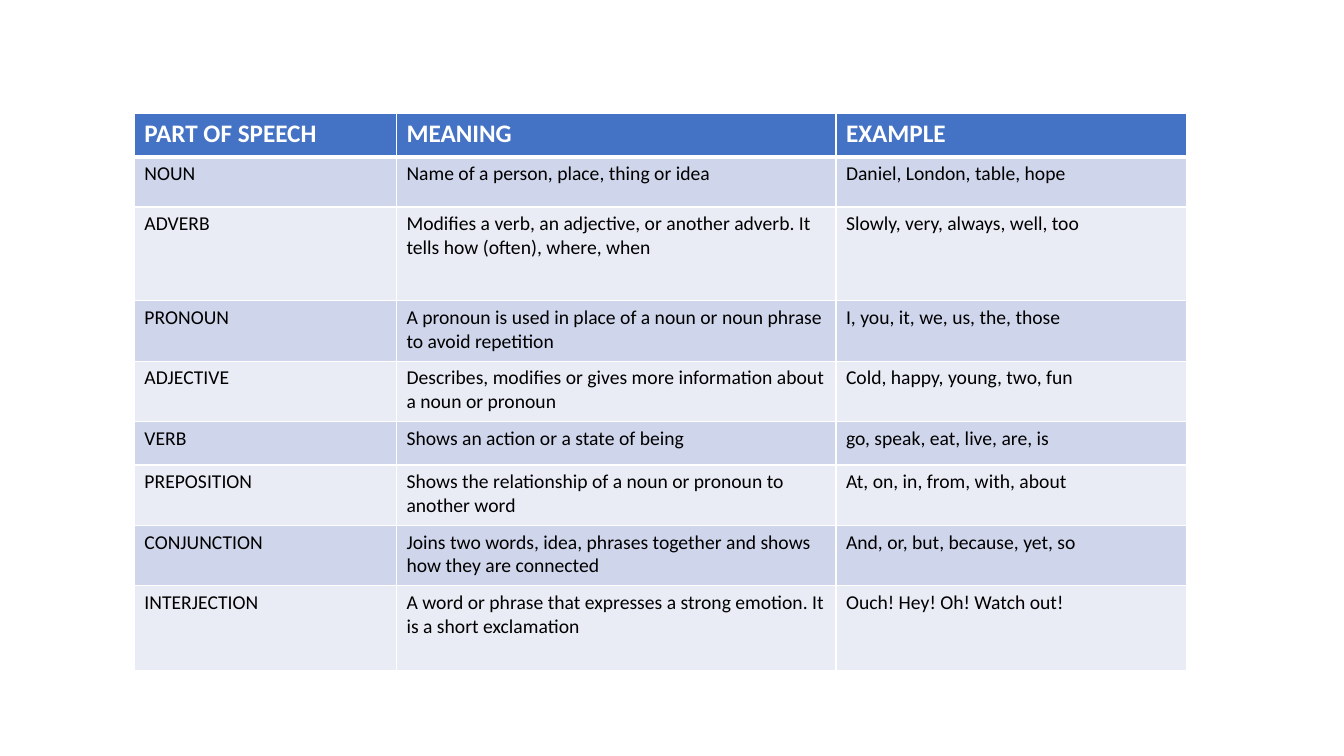
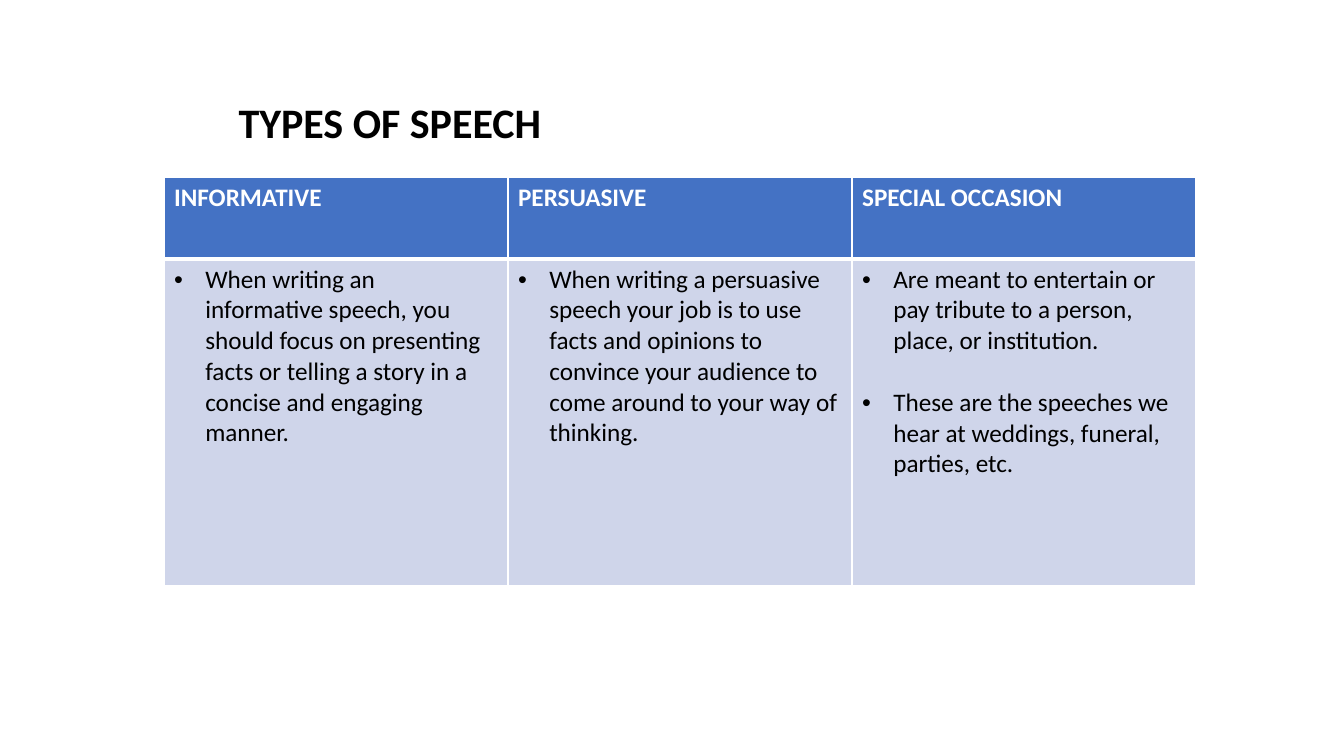
from dataclasses import dataclass

from lxml.etree import SubElement
from pptx import Presentation
from pptx.dml.color import RGBColor
from pptx.enum.text import MSO_ANCHOR, MSO_AUTO_SIZE, PP_ALIGN
from pptx.oxml.ns import qn
from pptx.util import Emu, Inches, Pt

SLIDE_WIDTH, SLIDE_HEIGHT = Inches(13.333), Inches(7.5)
FONT = "Calibri"
WHITE = RGBColor(0xFF, 0xFF, 0xFF)
BLACK = RGBColor(0x00, 0x00, 0x00)
HEADER_BLUE = RGBColor(0x44, 0x72, 0xC4)
BANDS = (RGBColor(0xCF, 0xD5, 0xEA), RGBColor(0xE9, 0xEB, 0xF5))
THIN, THICK = Pt(1), Pt(3)
BULLET_INDENT = Inches(0.31)
BULLET_GAP = 22


@dataclass(frozen=True)
class Area:
    """A rectangle in percent of the slide's width and height."""
    left: float
    top: float
    width: float
    height: float

    def box(self) -> tuple[Emu, Emu, Emu, Emu]:
        return (Emu(int(SLIDE_WIDTH * self.left / 100)),
                Emu(int(SLIDE_HEIGHT * self.top / 100)),
                Emu(int(SLIDE_WIDTH * self.width / 100)),
                Emu(int(SLIDE_HEIGHT * self.height / 100)))


@dataclass(frozen=True)
class Grid:
    """A banded table; column and row sizes are relative weights."""
    area: Area
    columns: tuple[float, ...]
    rows: tuple[float, ...]
    cells: tuple[tuple[str, ...], ...]
    body_size: int
    bulleted: bool = False


PARTS_OF_SPEECH = Grid(
    area=Area(10, 15, 78.3, 73.7),
    columns=(2.6, 4.36, 3.48),
    rows=(0.43, 0.5, 0.93, 0.6, 0.6, 0.43, 0.6, 0.6, 0.84),
    body_size=14,
    cells=(
        ("PART OF SPEECH", "MEANING", "EXAMPLE"),
        ("NOUN", "Name of a person, place, thing or idea",
         "Daniel, London, table, hope"),
        ("ADVERB", "Modifies a verb, an adjective, or another adverb. "
         "It tells how (often), where, when",
         "Slowly, very, always, well, too"),
        ("PRONOUN", "A pronoun is used in place of a noun or noun phrase "
         "to avoid repetition",
         "I, you, it, we, us, the, those"),
        ("ADJECTIVE", "Describes, modifies or gives more information about "
         "a noun or pronoun",
         "Cold, happy, young, two, fun"),
        ("VERB", "Shows an action or a state of being",
         "go, speak, eat, live, are, is"),
        ("PREPOSITION", "Shows the relationship of a noun or pronoun to "
         "another word",
         "At, on, in, from, with, about"),
        ("CONJUNCTION", "Joins two words, idea, phrases together and shows "
         "how they are connected",
         "And, or, but, because, yet, so"),
        ("INTERJECTION", "A word or phrase that expresses a strong emotion. "
         "It is a short exclamation",
         "Ouch! Hey! Oh! Watch out!"),
    ),
)

SPEECH_TYPES = Grid(
    area=Area(12.2, 23.5, 76.8, 53.9),
    columns=(1, 1, 1),
    rows=(1, 4),
    body_size=18,
    bulleted=True,
    cells=(
        ("INFORMATIVE", "PERSUASIVE", "SPECIAL OCCASION"),
        ("When writing an informative speech, you should focus on presenting "
         "facts or telling a story in a concise and engaging manner.",
         "When writing a persuasive speech your job is to use facts and "
         "opinions to convince your audience to come around to your way of "
         "thinking.",
         "Are meant to entertain or pay tribute to a person, place, or "
         "institution.\nThese are the speeches we hear at weddings, funeral, "
         "parties, etc."),
    ),
)


def write(frame, text: str, *, size: int, color: RGBColor = BLACK,
          bold: bool = False, bulleted: bool = False) -> None:
    """Fill a text frame with one paragraph per line of text."""
    for index, line in enumerate(text.split("\n")):
        paragraph = frame.add_paragraph() if index else frame.paragraphs[0]
        paragraph.text = line
        if bulleted:
            properties = paragraph._p.get_or_add_pPr()
            properties.set("marL", str(BULLET_INDENT))
            properties.set("indent", str(-BULLET_INDENT))
            SubElement(properties, qn("a:buFont"), typeface="Arial")
            SubElement(properties, qn("a:buChar"), char="•")
        if index:
            paragraph.space_before = Pt(BULLET_GAP)
        paragraph.alignment = PP_ALIGN.LEFT
        font = paragraph.font
        font.name, font.size, font.bold = FONT, Pt(size), bold
        font.color.rgb = color


def set_borders(cell, top: Emu, bottom: Emu) -> None:
    properties = cell._tc.get_or_add_tcPr()
    edges = {"L": THIN, "R": THIN, "T": top, "B": bottom}
    for position, (side, width) in enumerate(edges.items()):
        line = SubElement(properties, qn(f"a:ln{side}"), w=str(width))
        fill = SubElement(line, qn("a:solidFill"))
        SubElement(fill, qn("a:srgbClr"), val=str(WHITE))
        properties.insert(position, line)


def share_out(tracks, weights: tuple[float, ...], total: Emu,
              dimension: str) -> None:
    """Divide a length among table columns or rows by weight."""
    for track, weight in zip(tracks, weights):
        setattr(track, dimension, Emu(int(total * weight / sum(weights))))


def draw_grid(slide, grid: Grid) -> None:
    left, top, width, height = grid.area.box()
    table = slide.shapes.add_table(len(grid.rows), len(grid.columns),
                                   left, top, width, height).table
    share_out(table.columns, grid.columns, width, "width")
    share_out(table.rows, grid.rows, height, "height")
    for row, texts in enumerate(grid.cells):
        header = row == 0
        for column, text in enumerate(texts):
            cell = table.cell(row, column)
            cell.fill.solid()
            cell.fill.fore_color.rgb = (
                HEADER_BLUE if header else BANDS[(row - 1) % len(BANDS)])
            set_borders(cell, top=THICK if row == 1 else THIN,
                        bottom=THICK if header else THIN)
            if header:
                write(cell.text_frame, text, size=18, color=WHITE, bold=True)
            else:
                write(cell.text_frame, text, size=grid.body_size,
                      bulleted=grid.bulleted)


def draw_title(slide, text: str, area: Area) -> None:
    title = slide.shapes.title
    title.left, title.top, title.width, title.height = area.box()
    frame = title.text_frame
    frame.word_wrap = False
    frame.auto_size = MSO_AUTO_SIZE.NONE
    frame.vertical_anchor = MSO_ANCHOR.TOP
    write(frame, text, size=30, bold=True)


def main() -> None:
    deck = Presentation()
    deck.slide_width, deck.slide_height = SLIDE_WIDTH, SLIDE_HEIGHT
    title_only, blank = deck.slide_layouts[5], deck.slide_layouts[6]

    draw_grid(deck.slides.add_slide(blank), PARTS_OF_SPEECH)

    types_slide = deck.slides.add_slide(title_only)
    draw_title(types_slide, "TYPES OF SPEECH", Area(17, 12.1, 24.6, 8.1))
    draw_grid(types_slide, SPEECH_TYPES)

    deck.save("out.pptx")


if __name__ == "__main__":
    main()
